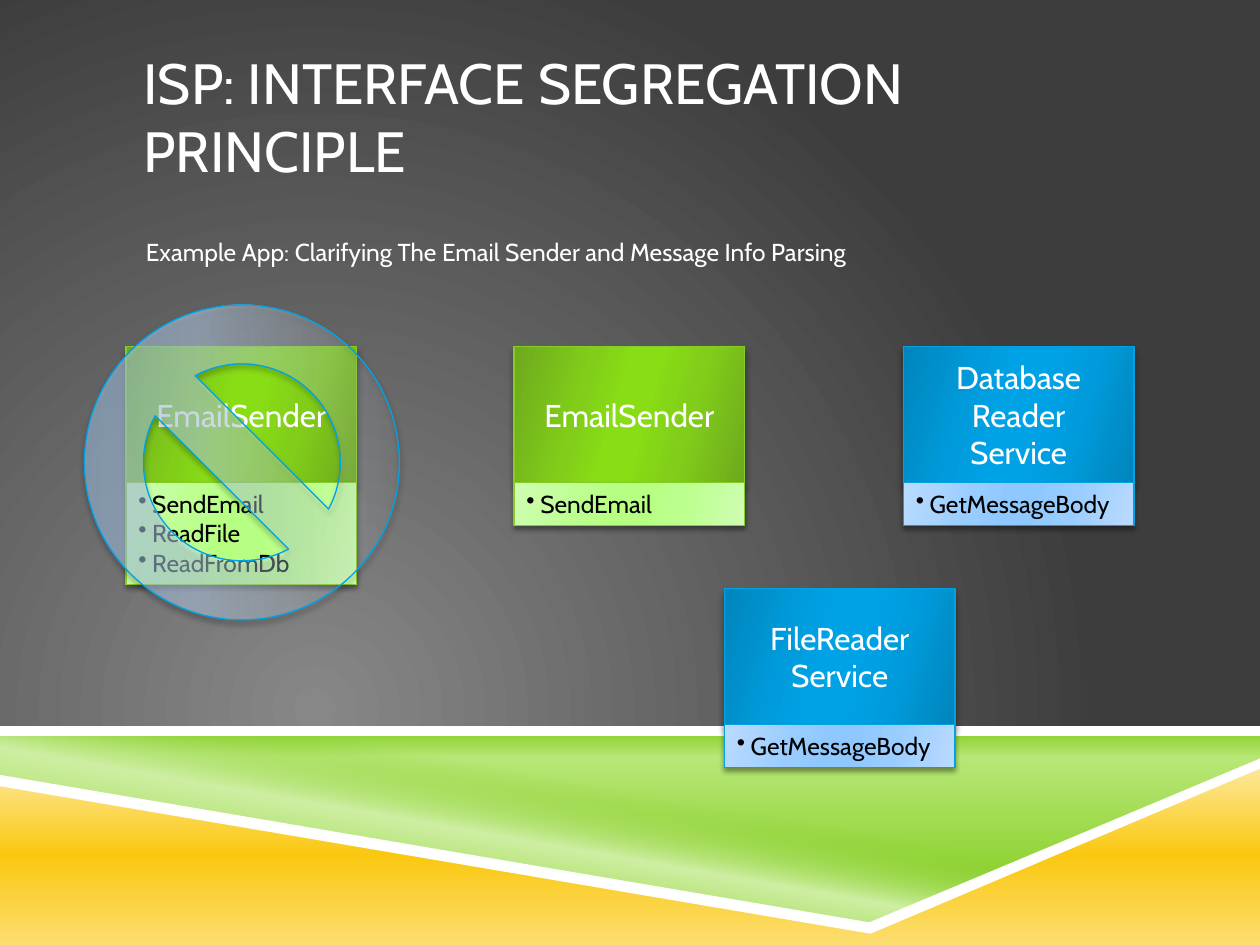
import pptx
import pptx.dml.color
import pptx.enum.shapes
import pptx.enum.text
import pptx.oxml
import pptx.oxml.ns
import pptx.util
from pptx.util import Inches

FONT = "Cabin"
SHAPE = pptx.enum.shapes.MSO_SHAPE
ALIGN = pptx.enum.text.PP_ALIGN
ANCHOR = pptx.enum.text.MSO_ANCHOR
qn = pptx.oxml.ns.qn

BAND_POSITIONS = (0, 30, 45, 55, 73, 100)
# Header and body colours run from the edge of the band to its middle.
GREEN = {"line": "86CE24", "header": ("6EA91D", "81CD1A", "88DD15"),
         "body": ("D0FDB3", "BCFF8F", "B6FF82")}
BLUE = {"line": "00A2E6", "header": ("0085BC", "009BDC", "00A2E6"),
        "body": ("BADBFF", "9ACDFF", "8FC8FF")}
CARD_WIDTH, HEADER_HEIGHT = 1.83, 1.08


def color(value):
    return pptx.dml.color.RGBColor.from_string(value)


def parse_drawing(tag, content):
    return pptx.oxml.parse_xml(
        f'<a:{tag} {pptx.oxml.ns.nsdecls("a")}>{content}</a:{tag}>')


def color_xml(value, alpha):
    return f'<a:srgbClr val="{value}"><a:alpha val="{alpha * 1000}"/></a:srgbClr>'


def fill_gradient(fill, properties, stops, direction):
    """Fill with stops of (position, colour[, opacity]) in percent."""
    fill.background()
    stop_xml = "".join(
        f'<a:gs pos="{position * 1000}">{color_xml(value, alpha[0] if alpha else 100)}</a:gs>'
        for position, value, *alpha in stops)
    gradient = parse_drawing("gradFill", f"<a:gsLst>{stop_xml}</a:gsLst>{direction}")
    properties.replace(properties.find(qn("a:noFill")), gradient)


def fill_linear(shape, stops, angle):
    direction = f'<a:lin ang="{angle * 60000}" scaled="0"/>'
    fill_gradient(shape.fill, shape.element.spPr, stops, direction)


def fill_solid(shape, value):
    shape.fill.solid()
    shape.fill.fore_color.rgb = color(value)


def band(colors):
    return list(zip(BAND_POSITIONS, colors + colors[::-1]))


def outline_with_shadow(shape, line, blur, distance):
    shape.line.color.rgb = color(line)
    shape.line.width = pptx.util.Pt(0.75)
    shape.shadow.inherit = False
    shadow = parse_drawing("outerShdw", color_xml("000000", 40))
    shadow.set("blurRad", str(pptx.util.Pt(blur)))
    shadow.set("dist", str(pptx.util.Pt(distance)))
    shadow.set("dir", str(90 * 60000))
    shadow.set("rotWithShape", "0")
    shape.element.spPr.find(qn("a:effectLst")).append(shadow)


def set_text(shape, text, size, value, align=ALIGN.LEFT, anchor=ANCHOR.TOP, bullets=False):
    frame = shape.text_frame
    frame.text = text
    frame.word_wrap = True
    frame.vertical_anchor = anchor
    for paragraph in frame.paragraphs:
        paragraph.alignment = align
        if bullets:
            properties = paragraph._p.get_or_add_pPr()
            properties.set("marL", str(Inches(0.11)))
            properties.set("indent", str(Inches(-0.11)))
            bullet = parse_drawing("buChar", "")
            bullet.set("char", "•")
            properties.append(bullet)
        for run in paragraph.runs:
            run.font.name = FONT
            run.font.size = pptx.util.Pt(size)
            run.font.color.rgb = color(value)


def add_text_box(slide, box, text, size):
    shape = slide.shapes.add_textbox(*map(Inches, box))
    set_text(shape, text, size, "FFFFFF")


def add_outline(slide, points):
    """Add a closed polygon without line or shadow."""
    start, *rest = [(Inches(x), Inches(y)) for x, y in points]
    builder = slide.shapes.build_freeform(*start)
    builder.add_line_segments(rest, close=True)
    shape = builder.convert_to_shape()
    shape.line.fill.background()
    shape.shadow.inherit = False
    return shape


def add_background(slide):
    fill = slide.background.fill
    fill.background()
    properties = slide.element.find(".//" + qn("p:bgPr"))
    center = ('<a:path path="circle">'
              '<a:fillToRect l="50000" t="100000" r="100000" b="50000"/></a:path>')
    fill_gradient(fill, properties, [(0, "878787"), (100, "3D3D3D")], center)


def add_footer_art(slide):
    green_area = [(0, 5.8), (10, 5.79), (10, 6.07), (6.89, 7.37), (0, 6.19)]
    fill_linear(add_outline(slide, green_area),
                [(0, "86CE24"), (14, "B7E776"), (83, "86CE24")], 90)
    fill_linear(add_outline(slide, green_area),
                [(41, "86CE24", 0), (57, "CFEFA4"), (100, "86CE24", 0)], 100)
    yellow_area = [(0, 6.21), (6.92, 7.38), (10, 6.07), (10, 7.5), (0, 7.5)]
    fill_linear(add_outline(slide, yellow_area),
                [(0, "FDE99F"), (50, "FAC810"), (100, "FCDE70")], 90)
    top_stripe = [(0, 5.76), (10, 5.76), (10, 5.84), (0, 5.84)]
    chevron = [(0, 6.15), (6.9, 7.32), (10, 6.02), (10, 6.1), (6.91, 7.41), (0, 6.24)]
    for points in (top_stripe, chevron):
        fill_solid(add_outline(slide, points), "FFFFFF")


def add_card(slide, left, top, theme, name, methods, body_height=0.34):
    """Add a class card: a header with its name above a list of its methods."""
    shapes = slide.shapes.add_group_shape().shapes
    header = shapes.add_shape(SHAPE.RECTANGLE, Inches(left), Inches(top),
                              Inches(CARD_WIDTH), Inches(HEADER_HEIGHT))
    fill_linear(header, band(theme["header"]), 16)
    outline_with_shadow(header, theme["line"], 4, 3.3)
    set_text(header, name, 18, "FFFFFF", ALIGN.CENTER, ANCHOR.MIDDLE)

    body = shapes.add_shape(SHAPE.RECTANGLE, Inches(left), Inches(top + HEADER_HEIGHT),
                            Inches(CARD_WIDTH), Inches(body_height))
    fill_linear(body, band(theme["body"]), 16)
    outline_with_shadow(body, theme["line"], 3, 2)
    set_text(body, methods, 14, "000000", bullets=True)


def add_prohibition_sign(slide, left, top, size):
    sign = slide.shapes.add_shape(SHAPE.NO_SYMBOL, Inches(left), Inches(top),
                                  Inches(size), Inches(size))
    fill_linear(sign, [(0, "B1D7FF", 50), (35, "C8E2FF", 50), (100, "EAF4FF", 4)], 0)
    outline_with_shadow(sign, "00A2E6", 3, 2)


def main():
    presentation = pptx.Presentation()
    presentation.slide_width = Inches(10)
    presentation.slide_height = Inches(7.5)
    slide = presentation.slides.add_slide(presentation.slide_layouts[6])

    add_background(slide)
    add_footer_art(slide)
    add_text_box(slide, (1.04, 0.33, 6.38, 1.67), "ISP: INTERFACE SEGREGATION PRINCIPLE", 32.4)
    add_text_box(slide, (1.06, 1.83, 7.67, 0.4),
                 "Example App: Clarifying The Email Sender and Message Info Parsing", 14)

    add_card(slide, 1, 2.75, GREEN, "EmailSender", "SendEmail\nReadFile\nReadFromDb", 0.81)
    add_prohibition_sign(slide, 0.67, 2.42, 2.5)
    add_card(slide, 4.08, 2.75, GREEN, "EmailSender", "SendEmail")
    add_card(slide, 7.17, 2.75, BLUE, "Database Reader\nService", "GetMessageBody")
    add_card(slide, 5.75, 4.67, BLUE, "FileReader\nService", "GetMessageBody")

    presentation.save("out.pptx")


if __name__ == "__main__":
    main()
